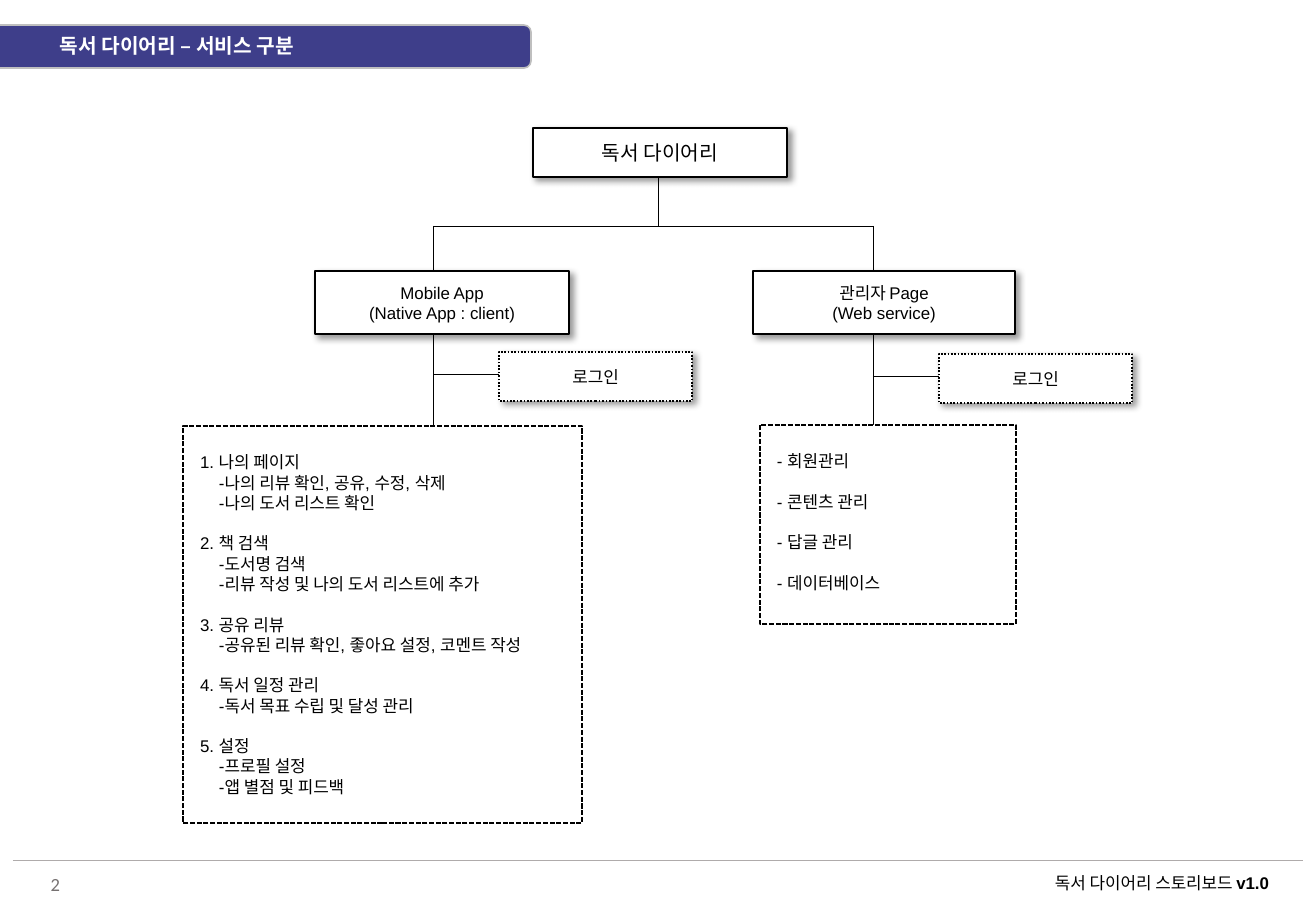
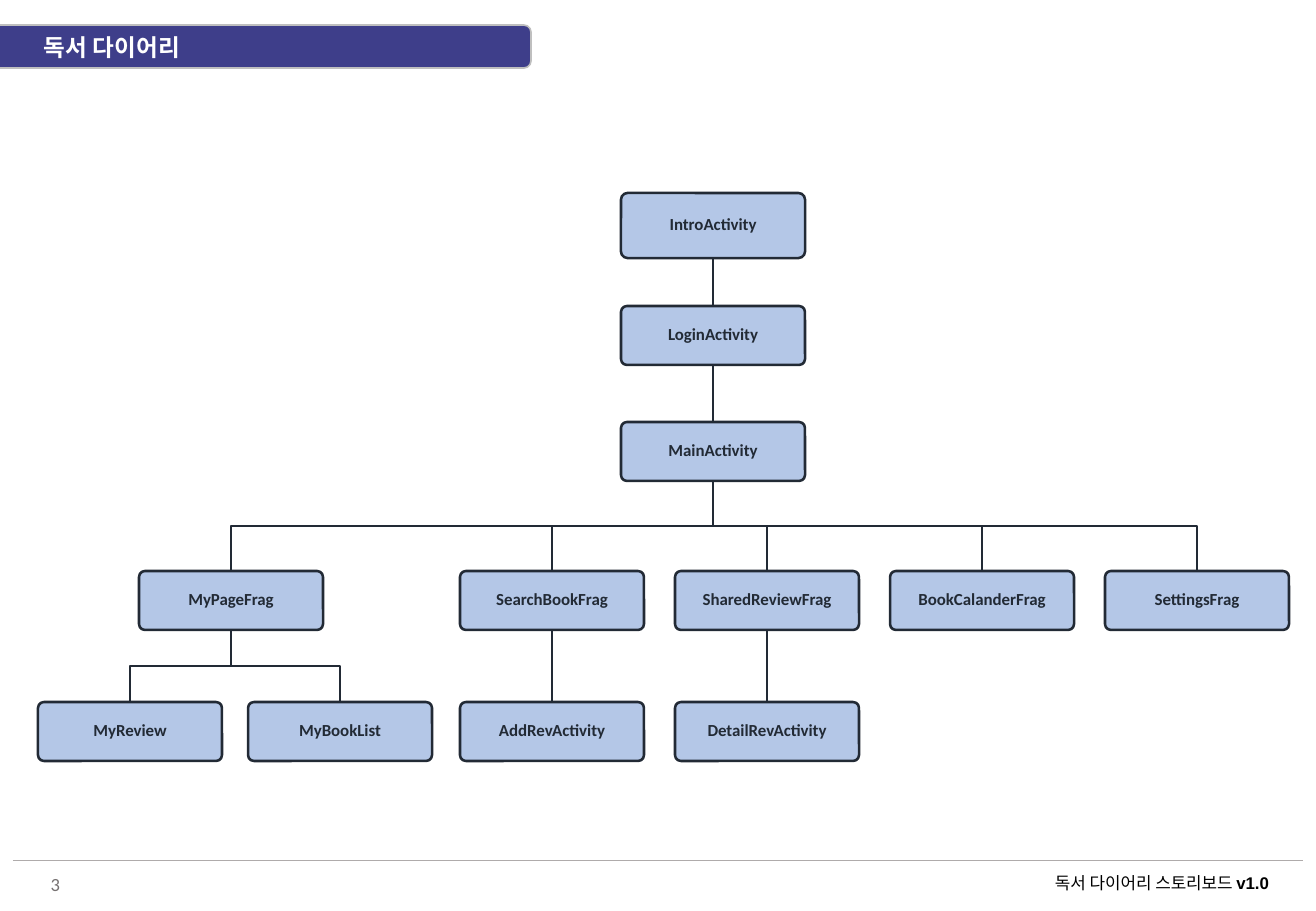
from lxml.etree import SubElement
from pptx import Presentation
from pptx.dml.color import RGBColor
from pptx.enum.dml import MSO_LINE
from pptx.enum.shapes import MSO_CONNECTOR, MSO_SHAPE
from pptx.enum.text import MSO_ANCHOR, PP_ALIGN
from pptx.oxml.ns import qn
from pptx.util import Emu, Pt

SCALE = 914400 / 121.5
COLORS = {
    "band": "3E3E8A", "band_edge": "BFBFBF", "rule": "AFABAB", "number": "767171",
    "white": "FFFFFF", "black": "000000", "node": "B4C7E7", "ink": "222A35",
}
NODE_WIDTH = 184
NODE_HEIGHT = 59
FEATURES = [
    ("1. 나의 페이지", ["-나의 리뷰 확인, 공유, 수정, 삭제", "-나의 도서 리스트 확인"]),
    ("2. 책 검색", ["-도서명 검색", "-리뷰 작성 및 나의 도서 리스트에 추가"]),
    ("3. 공유 리뷰", ["-공유된 리뷰 확인, 좋아요 설정, 코멘트 작성"]),
    ("4. 독서 일정 관리", ["-독서 목표 수립 및 달성 관리"]),
    ("5. 설정", ["-프로필 설정", "-앱 별점 및 피드백"]),
]
ADMIN_TASKS = ["- 회원관리", "- 콘텐츠 관리", "- 답글 관리", "- 데이터베이스"]
ACTIVITIES = [
    ("IntroActivity", 713, 193, 65, None),
    ("LoginActivity", 713, 306, NODE_HEIGHT, "IntroActivity"),
    ("MainActivity", 713, 422, NODE_HEIGHT, "LoginActivity"),
    ("MyPageFrag", 231, 571, NODE_HEIGHT, "MainActivity"),
    *[(name, 552 + 215 * column, 571, NODE_HEIGHT, "MainActivity")
      for column, name in enumerate(
          ["SearchBookFrag", "SharedReviewFrag", "BookCalanderFrag", "SettingsFrag"])],
    ("MyReview", 130, 702, NODE_HEIGHT, "MyPageFrag"),
    ("MyBookList", 340, 702, NODE_HEIGHT, "MyPageFrag"),
    ("AddRevActivity", 552, 702, NODE_HEIGHT, "SearchBookFrag"),
    ("DetailRevActivity", 767, 702, NODE_HEIGHT, "SharedReviewFrag"),
]


def px(length):
    return Emu(round(length * SCALE))


def color(name):
    return RGBColor.from_string(COLORS[name])


def write(shape, text, size=10, font="Arial", ink="black", bold=False, tail="",
          align=PP_ALIGN.LEFT, indent=0, gap=0, spacing=None):
    frame = shape.text_frame
    paragraph = frame.add_paragraph() if frame.text else frame.paragraphs[0]
    paragraph.alignment = align
    paragraph.space_before = Pt(gap)
    paragraph.line_spacing = spacing
    properties = paragraph._p.get_or_add_pPr()
    properties.set("marL", str(px(indent)))
    properties.set("indent", "0")
    for words, heavy in ((text, bold), (tail, True)):
        if words:
            run = paragraph.add_run()
            run.text = words
            run.font.size = Pt(size)
            run.font.name = font
            run.font.bold = heavy
            run.font.color.rgb = color(ink)


def text_area(slide, left, top, width, height, anchor=MSO_ANCHOR.TOP):
    area = slide.shapes.add_textbox(px(left), px(top), px(width), px(height))
    area.text_frame.word_wrap = True
    area.text_frame.vertical_anchor = anchor
    return area


def stroke(shape, ink, width, dash=None):
    shape.line.color.rgb = color(ink)
    shape.line.width = Pt(width)
    if dash:
        shape.line.dash_style = dash


def box(slide, left, top, width, height, kind=MSO_SHAPE.RECTANGLE, fill="white",
        edge="black", weight=1, dash=None, anchor=MSO_ANCHOR.MIDDLE):
    panel = slide.shapes.add_shape(kind, px(left), px(top), px(width), px(height))
    panel.fill.solid()
    panel.fill.fore_color.rgb = color(fill)
    stroke(panel, edge, weight, dash)
    panel.shadow.inherit = False
    panel.text_frame.word_wrap = True
    panel.text_frame.vertical_anchor = anchor
    return panel


def cast_shadow(panel):
    effects = panel._element.spPr.find(qn("a:effectLst"))
    shadow = SubElement(effects, qn("a:outerShdw"), blurRad=str(Pt(4)), dist=str(Pt(3)),
                        dir="2700000", algn="tl", rotWithShape="0")
    tint = SubElement(shadow, qn("a:srgbClr"), val=COLORS["black"])
    SubElement(tint, qn("a:alpha"), val="40000")


def service_box(slide, left, top, width, height, lines, size=10, dash=None):
    panel = box(slide, left, top, width, height, dash=dash)
    cast_shadow(panel)
    for line in lines:
        write(panel, line, size=size, align=PP_ALIGN.CENTER)


def detail_box(slide, left, top, width, height):
    panel = box(slide, left, top, width, height, dash=MSO_LINE.SQUARE_DOT,
                anchor=MSO_ANCHOR.TOP)
    panel.text_frame.margin_top = px(26)
    return panel


def line(slide, x1, y1, x2, y2, ink="black", width=0.5):
    link = slide.shapes.add_connector(MSO_CONNECTOR.STRAIGHT, px(x1), px(y1), px(x2), px(y2))
    stroke(link, ink, width)
    SubElement(link._element.spPr, qn("a:effectLst"))


def branch(slide, x1, y1, x2, y2):
    if x1 == x2:
        line(slide, x1, y1, x2, y2, "ink", 1.5)
        return
    middle = (y1 + y2) / 2
    builder = slide.shapes.build_freeform(x1, y1, scale=SCALE)
    builder.add_line_segments([(x1, middle), (x2, middle), (x2, y2)], close=False)
    elbow = builder.convert_to_shape()
    elbow.fill.background()
    stroke(elbow, "ink", 1.5)
    elbow.shadow.inherit = False


def activity_node(slide, name, center, top, height):
    node = box(slide, center - NODE_WIDTH / 2, top, NODE_WIDTH, height,
               MSO_SHAPE.ROUNDED_RECTANGLE, "node", "ink", 1.5)
    node.adjustments[0] = 0.1
    frame = node.text_frame
    frame.margin_left = frame.margin_right = frame.margin_top = frame.margin_bottom = px(5)
    write(node, name, font="Calibri", ink="ink", bold=True, align=PP_ALIGN.CENTER, spacing=0.9)


def storyboard_slide(deck, number, title, size, indent=0):
    slide = deck.slides.add_slide(deck.slide_layouts[6])
    version = text_area(slide, 1023, 867, 278, 33)
    write(version, "독서 다이어리 스토리보드 ", tail="v1.0", align=PP_ALIGN.CENTER)
    line(slide, 13, 860, 1303, 860, "rule")
    box(slide, -13, 25, 544, 43, MSO_SHAPE.ROUNDED_RECTANGLE, "band", "band_edge")
    page = text_area(slide, 17, 866, 55, 36, MSO_ANCHOR.MIDDLE)
    write(page, str(number), size=11, font="Calibri", ink="number", align=PP_ALIGN.RIGHT)
    heading = text_area(slide, 32, 30, 552, 38)
    write(heading, title, size=size, font="Calibri", ink="white", bold=True,
          indent=indent, spacing=0.9)
    return slide


def service_slide(deck):
    slide = storyboard_slide(deck, 2, "독서 다이어리 – 서비스 구분", 12, indent=16)
    line(slide, 658, 169, 658, 226)
    line(slide, 433, 226, 873, 226)
    for trunk, login_top in ((433, 352), (873, 354)):
        line(slide, trunk, 226, trunk, 431)
        line(slide, trunk, login_top + 22, trunk + 69, login_top + 22)
        service_box(slide, trunk + 66, login_top, 193, 49, ["로그인"], dash=MSO_LINE.ROUND_DOT)
    service_box(slide, 533, 128, 254, 49, ["독서 다이어리"], size=12)
    service_box(slide, 315, 271, 254, 63, ["Mobile App", "(Native App : client)"])
    service_box(slide, 753, 271, 262, 63, ["관리자 Page", "(Web service)"])
    features = detail_box(slide, 183, 426, 399, 397)
    for order, (feature, actions) in enumerate(FEATURES):
        write(features, feature, indent=5, gap=12 if order else 0)
        for action in actions:
            write(features, action, indent=24)
    admin = detail_box(slide, 760, 425, 256, 199)
    for order, task in enumerate(ADMIN_TASKS):
        write(admin, task, indent=5, gap=12 if order else 0)


def activity_slide(deck):
    slide = storyboard_slide(deck, 3, "독서 다이어리", 14)
    exits = {}
    for name, center, top, height, parent in ACTIVITIES:
        if parent:
            branch(slide, *exits[parent], center, top)
        activity_node(slide, name, center, top, height)
        exits[name] = (center, top + height)


def main():
    deck = Presentation()
    deck.slide_width = px(1316)
    deck.slide_height = px(911)
    service_slide(deck)
    activity_slide(deck)
    deck.save("out.pptx")


main()
